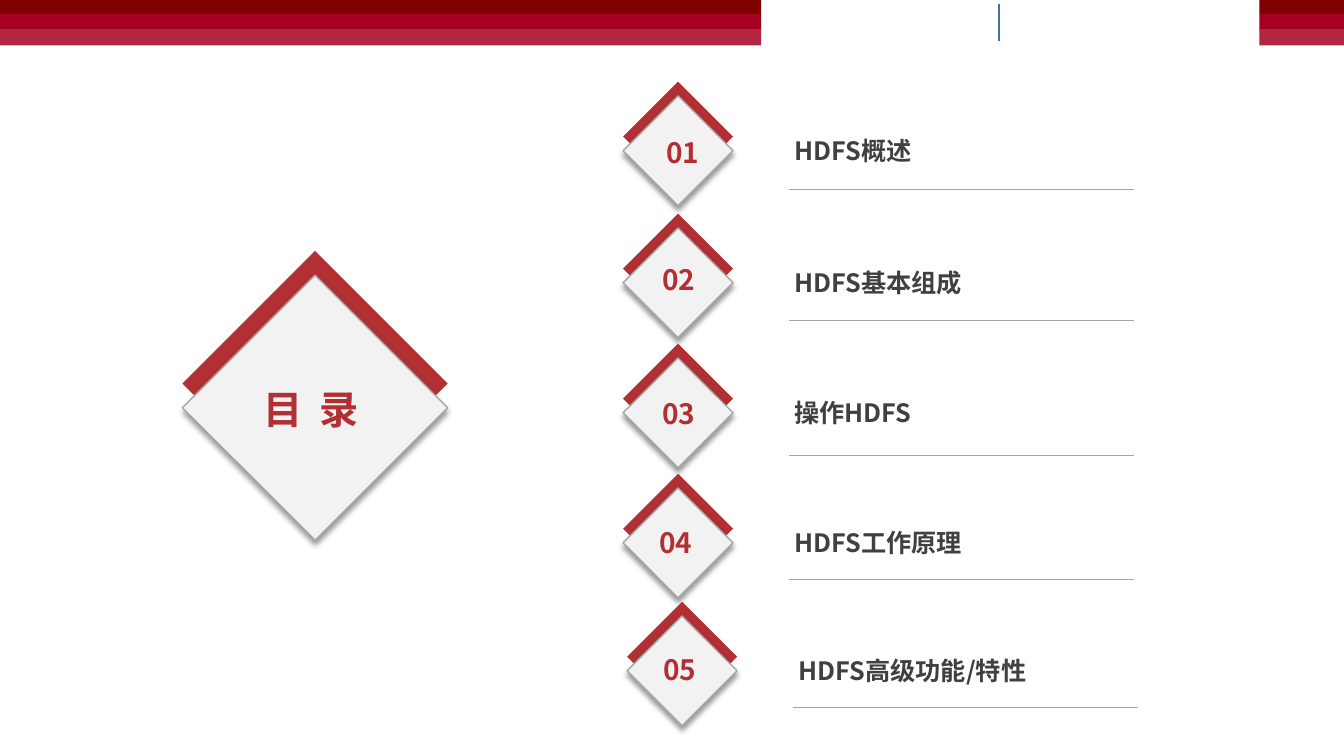
from lxml import etree
from pptx import Presentation
from pptx import util as u
from pptx.dml.color import RGBColor
from pptx.enum import shapes, text
from pptx.oxml import ns

COLORS = {
    "band_dark": "800000", "band_mid": "A50021", "band_light": "B22642",
    "accent": "B23033", "face": "F2F2F2", "edge": "A6A6A6",
    "label": "404040", "divider": "43739E", "shadow": "000000",
}
FONT = "Noto Sans CJK SC"
BANDS = [("band_dark", 0, 0.14), ("band_mid", 0.14, 0.16), ("band_light", 0.29, 0.16)]
CHAPTERS = [
    ("01", "HDFS概述", 6.18, 0.81, 0.33, 0.47, 1.07),
    ("02", "HDFS基本组成", 6.18, 2.12, 0.29, 0.42, 1.06),
    ("03", "操作HDFS", 6.18, 3.41, 0.29, 0.46, 1.11),
    ("04", "HDFS工作原理", 6.18, 4.7, 0.26, 0.45, 1.05),
    ("05", "HDFS高级功能/特性", 6.22, 5.97, 0.26, 0.44, 1.05),
]


def rgb(name):
    """Return the named colour."""
    return RGBColor.from_string(COLORS[name])


def add_filled(slide, preset, box, color):
    """Add a borderless preset shape without shadow."""
    part = slide.shapes.add_shape(preset, *map(u.Inches, box))
    part.shadow.inherit = False
    part.fill.solid()
    part.fill.fore_color.rgb = rgb(color)
    part.line.fill.background()
    return part


def add_rule(slide, start, end, color, width):
    """Draw a straight line without shadow."""
    rule = slide.shapes.add_connector(
        shapes.MSO_CONNECTOR.STRAIGHT, *map(u.Inches, (*start, *end)))
    rule.line.color.rgb = rgb(color)
    rule.line.width = u.Pt(width)
    etree.SubElement(rule.element.spPr, ns.qn("a:effectLst"))


def write(holder, words, size, color, insets):
    """Fill a text holder with one bold, vertically centred run."""
    frame = holder.text_frame
    frame.word_wrap = True
    frame.auto_size = text.MSO_AUTO_SIZE.NONE
    frame.vertical_anchor = text.MSO_ANCHOR.MIDDLE
    frame.margin_left = frame.margin_right = u.Inches(insets[0])
    frame.margin_top = frame.margin_bottom = u.Inches(insets[1])
    paragraph = frame.paragraphs[0]
    paragraph.alignment = text.PP_ALIGN.LEFT
    paragraph.line_spacing = 1.0
    run = paragraph.add_run()
    run.text = words
    run.font.size = u.Pt(size)
    run.font.bold = True
    run.font.name = FONT
    run.font.color.rgb = rgb(color)
    east_asian = etree.SubElement(run.font._element, ns.qn("a:ea"))
    east_asian.set("typeface", FONT)
    return run


def add_label(slide, box, words, size, color, insets):
    """Place a text box holding one label."""
    label = slide.shapes.add_textbox(*map(u.Inches, box))
    write(label, words, size, color, insets)


def cast_shadow(part):
    """Give a shape a soft shadow straight below it."""
    effects = part.element.spPr.find(ns.qn("a:effectLst"))
    shadow = etree.SubElement(
        effects, ns.qn("a:outerShdw"), blurRad=str(u.Pt(4)), dist=str(u.Pt(3)),
        dir="5400000", algn="t", rotWithShape="0")
    tint = etree.SubElement(shadow, ns.qn("a:srgbClr"), val=COLORS["shadow"])
    etree.SubElement(tint, ns.qn("a:alpha"), val="40000")


def add_badge(slide, left, top, size, drop):
    """Stack a pale diamond over a red one, lowered by drop."""
    diamond = shapes.MSO_SHAPE.FLOWCHART_DECISION
    add_filled(slide, diamond, (left, top, size, size), "accent")
    face = add_filled(slide, diamond, (left, top + drop, size, size), "face")
    face.line.color.rgb = rgb("edge")
    face.line.width = u.Pt(1)
    cast_shadow(face)


def add_header(slide, left, width):
    """Draw the three stacked header bands."""
    for color, top, height in BANDS:
        add_filled(slide, shapes.MSO_SHAPE.RECTANGLE, (left, top, width, height), color)


def add_heading(slide, left, top):
    """Draw the large badge and set the slide title on it."""
    add_badge(slide, left, top, 2.63, 0.24)
    title = slide.shapes.title
    title.left, title.top = u.Inches(left + 0.73), u.Inches(top + 1.28)
    title.width, title.height = u.Inches(1.58), u.Inches(0.57)
    run = write(title, "目 录", 28, "accent", (0.07, 0.04))
    run.font._element.set("spc", "300")
    title.element.getparent().append(title.element)


def add_chapter(slide, number, name, left, top, number_dx, number_dy, rule_dy):
    """Draw one chapter row: badge, number, name and underline."""
    add_badge(slide, left, top, 1.09, 0.14)
    add_label(slide, (left + number_dx, top + number_dy, 0.58, 0.46),
              number, 20, "accent", (0.1, 0.05))
    add_label(slide, (left + 1.63, top + 0.5, 3.4, 0.37),
              name, 18, "label", (0.07, 0.04))
    rule_y = top + rule_dy
    add_rule(slide, (left + 1.65, rule_y), (left + 5.07, rule_y), "edge", 0.5)


def main():
    """Build the contents slide."""
    deck = Presentation()
    deck.slide_width, deck.slide_height = u.Inches(13.33), u.Inches(7.5)
    slide = deck.slides.add_slide(deck.slide_layouts.get_by_name("Title Only"))
    add_header(slide, 0, 7.55)
    add_header(slide, 12.49, 0.84)
    add_rule(slide, (9.91, 0.04), (9.91, 0.41), "divider", 1)
    add_heading(slide, 1.81, 2.49)
    for chapter in CHAPTERS:
        add_chapter(slide, *chapter)
    deck.save("out.pptx")


if __name__ == "__main__":
    main()
